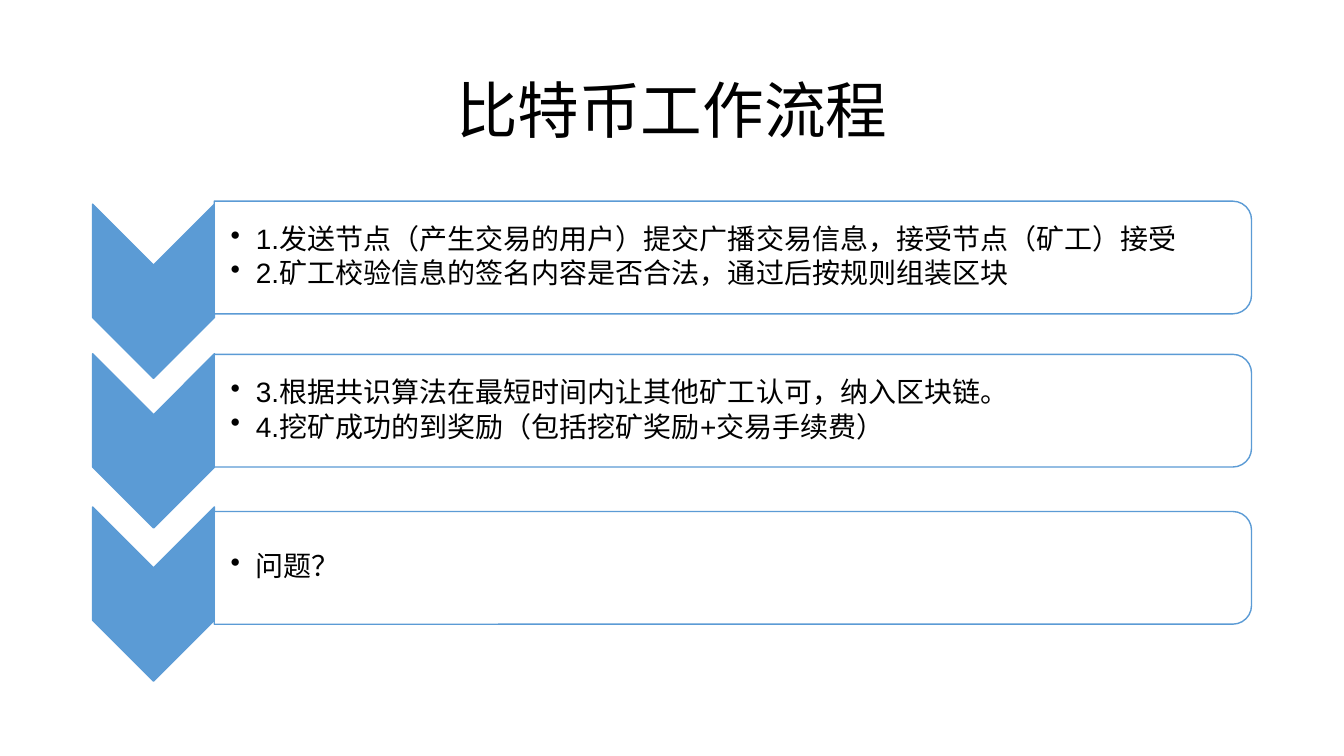
from lxml.etree import SubElement
from pptx import Presentation
from pptx.dml.color import RGBColor
from pptx.enum.shapes import MSO_SHAPE
from pptx.enum.text import MSO_ANCHOR, PP_ALIGN
from pptx.oxml.ns import qn
from pptx.util import Cm, Pt

BLUE = RGBColor(0x5B, 0x9B, 0xD5)
WHITE = RGBColor(0xFF, 0xFF, 0xFF)
BLACK = RGBColor(0x00, 0x00, 0x00)
FONT = "Arial"

# Chevron centre and panel centre (cm from the top), then the panel's points
STEPS = [
    (7.34, 6.49, ["1.发送节点（产生交易的用户）提交广播交易信息，接受节点（矿工）接受",
                  "2.矿工校验信息的签名内容是否合法，通过后按规则组装区块"]),
    (11.11, 10.35, ["3.根据共识算法在最短时间内让其他矿工认可，纳入区块链。",
                    "4.挖矿成功的到奖励（包括挖矿奖励+交易手续费）"]),
    (14.97, 14.31, ["问题？"]),
]


def write(paragraph, text, size):
    paragraph.line_spacing = 0.9
    run = paragraph.add_run()
    run.text = text
    run.font.name = FONT
    run.font.size = Pt(size)
    run.font.color.rgb = BLACK


def add_title(slide, text):
    title = slide.shapes.title
    title.left, title.top, title.width, title.height = Cm(2.33), Cm(1.01), Cm(29.21), Cm(3.68)
    title.text_frame.vertical_anchor = MSO_ANCHOR.MIDDLE
    heading = title.text_frame.paragraphs[0]
    heading.alignment = PP_ALIGN.CENTER
    write(heading, text, 44)


def add_turned_shape(shapes, kind, center_x, center_y, width, height, fill):
    """Add a shape turned by 90 degrees about its centre, sized before turning."""
    shape = shapes.add_shape(kind, Cm(center_x - width / 2), Cm(center_y - height / 2),
                             Cm(width), Cm(height))
    shape.rotation = 90
    shape.shadow.inherit = False
    shape.fill.solid()
    shape.fill.fore_color.rgb = fill
    shape.line.color.rgb = BLUE
    shape.line.width = Pt(1)
    return shape


def set_opacity(shape, percent):
    color = shape.fill._xPr.find(qn("a:solidFill"))[0]
    SubElement(color, qn("a:alpha"), val=str(percent * 1000))


def make_bullet(paragraph):
    properties = paragraph._p.get_or_add_pPr()
    indent = Cm(0.64)
    properties.set("marL", str(indent))
    properties.set("indent", str(-indent))
    spacing = SubElement(properties, qn("a:spcAft"))
    SubElement(spacing, qn("a:spcPct"), val="15000")
    SubElement(properties, qn("a:buChar"), char="•")


def add_points(shapes, center_y, points):
    height = 2.57
    box = shapes.add_textbox(Cm(5.41), Cm(center_y - height / 2), Cm(26.01), Cm(height))
    frame = box.text_frame
    frame.word_wrap = True
    frame.vertical_anchor = MSO_ANCHOR.MIDDLE
    frame.margin_left = Cm(0.4)
    frame.margin_top = frame.margin_right = frame.margin_bottom = Cm(0.03)
    for number, point in enumerate(points):
        paragraph = frame.add_paragraph() if number else frame.paragraphs[0]
        write(paragraph, point, 20)
        paragraph.level = 1
        make_bullet(paragraph)


def add_step(shapes, chevron_y, panel_y, points):
    add_turned_shape(shapes, MSO_SHAPE.CHEVRON, 3.87, chevron_y, 4.39, 3.07, BLUE)
    panel = add_turned_shape(shapes, MSO_SHAPE.ROUND_2_SAME_RECTANGLE,
                             18.47, panel_y, 2.84, 26.14, WHITE)
    set_opacity(panel, 90)
    add_points(shapes, panel_y, points)


def main():
    presentation = Presentation()
    presentation.slide_width, presentation.slide_height = Cm(33.87), Cm(19.05)
    slide = presentation.slides.add_slide(presentation.slide_layouts[5])
    add_title(slide, "比特币工作流程")
    workflow = slide.shapes.add_group_shape()
    for chevron_y, panel_y, points in STEPS:
        add_step(workflow.shapes, chevron_y, panel_y, points)
    presentation.save("out.pptx")


if __name__ == "__main__":
    main()
